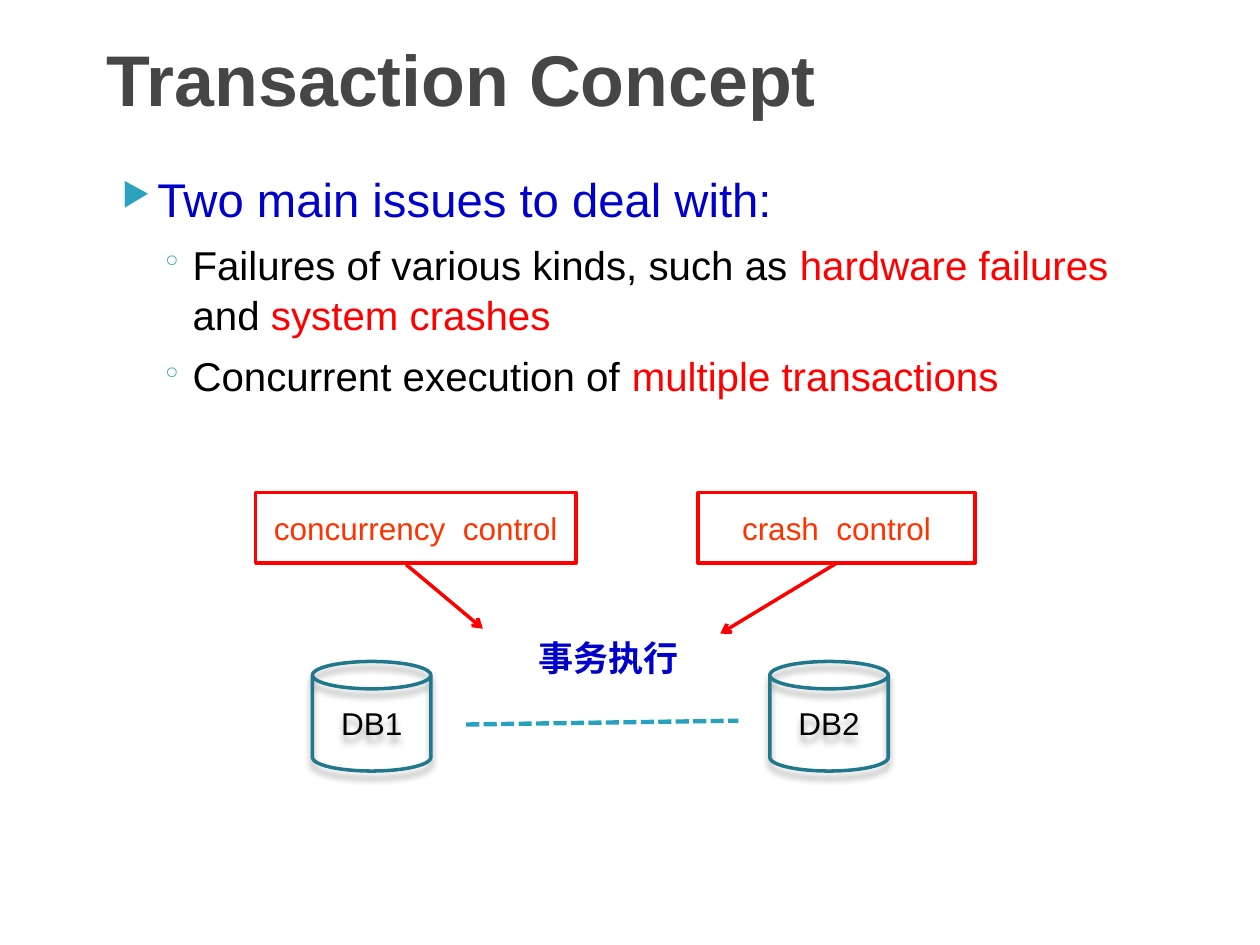
from lxml import etree
from pptx import Presentation
from pptx.dml.color import RGBColor
from pptx.enum.dml import MSO_LINE
from pptx.enum.shapes import MSO_CONNECTOR, MSO_SHAPE
from pptx.enum.text import MSO_ANCHOR, PP_ALIGN
from pptx.oxml.ns import qn
from pptx.util import Inches, Pt

CALLOUT = MSO_SHAPE.LINE_CALLOUT_1
CYLINDER = MSO_SHAPE.CAN
STRAIGHT = MSO_CONNECTOR.STRAIGHT
DOTTED = MSO_LINE.SQUARE_DOT
MIDDLE = MSO_ANCHOR.MIDDLE
CENTER = PP_ALIGN.CENTER

COLORS = {
    "title": "464646",
    "blue": "0000CC",
    "black": "000000",
    "red": "FF0000",
    "orange": "FF3300",
    "white": "FFFFFF",
    "bullet": "2DA2BF",
    "cylinder": "21788D",
    "link": "28A1BE",
}


def style(run, size, color, bold=False):
    run.font.name = "Arial"
    run.font.size = Pt(size)
    run.font.bold = bold
    run.font.color.rgb = RGBColor.from_string(COLORS[color])


def add_xml(parent, tag, **attributes):
    return etree.SubElement(parent, qn(tag), attributes)


prs = Presentation()
prs.slide_width = Inches(10)
prs.slide_height = Inches(7.5)
slide = prs.slides.add_slide(prs.slide_layouts[6])

title = slide.shapes.add_textbox(Inches(0.75), Inches(0.2), Inches(8.5), Inches(0.83))
title.text_frame.word_wrap = True
title.text_frame.vertical_anchor = MIDDLE
title.text_frame.text = "Transaction Concept"
style(title.text_frame.paragraphs[0].runs[0], 41, "title", bold=True)

issues = [
    (0, 27, "▶", 0.4, -0.28, [("Two main issues to deal with:", "blue")]),
    (1, 23, "◦", 0.68, -0.25, [
        ("Failures of various kinds, such as ", "black"),
        ("hardware failures", "red"),
        (" and ", "black"),
        ("system crashes", "red"),
    ]),
    (1, 23, "◦", 0.68, -0.25, [
        ("Concurrent execution of ", "black"),
        ("multiple transactions", "red"),
    ]),
]
body = slide.shapes.add_textbox(Inches(0.75), Inches(1.28), Inches(8.5), Inches(1.88))
body.text_frame.word_wrap = True
for index, (level, size, bullet, margin, indent, parts) in enumerate(issues):
    issue = body.text_frame.paragraphs[0] if index == 0 else body.text_frame.add_paragraph()
    issue.level = level
    properties = issue._p.get_or_add_pPr()
    properties.set("marL", str(Inches(margin)))
    properties.set("indent", str(Inches(indent)))
    add_xml(add_xml(properties, "a:buClr"), "a:srgbClr", val=COLORS["bullet"])
    add_xml(properties, "a:buSzPct", val="68000")
    add_xml(properties, "a:buChar", char=bullet)
    issue.line_spacing = 1.05
    if index:
        issue.space_before = Pt(6)
    for words, color in parts:
        run = issue.add_run()
        run.text = words
        style(run, size, color)

controls = slide.shapes.add_group_shape()
for label, left, width, pointer in [
    ("concurrency  control", 2.03, 2.54, (1.02, 0.47, 1.93, 0.71)),
    ("crash  control", 5.54, 2.2, (1, 0.5, 2, 0.08)),
]:
    control = controls.shapes.add_shape(
        CALLOUT, Inches(left), Inches(3.91), Inches(width), Inches(0.56))
    for position, value in enumerate(pointer):
        control.adjustments[position] = value
    control.shadow.inherit = False
    control.fill.solid()
    control.fill.fore_color.rgb = RGBColor.from_string(COLORS["white"])
    control.line.color.rgb = RGBColor.from_string(COLORS["red"])
    control.line.width = Pt(2)
    add_xml(control.line._get_or_add_ln(), "a:tailEnd", type="arrow")
    control.text_frame.vertical_anchor = MIDDLE
    control.text_frame.text = label
    control.text_frame.paragraphs[0].alignment = CENTER
    style(control.text_frame.paragraphs[0].runs[0], 18, "orange")

execution = slide.shapes.add_group_shape()
for label, left in [("DB1", 2.48), ("DB2", 6.11)]:
    database = execution.shapes.add_shape(
        CYLINDER, Inches(left), Inches(5.25), Inches(0.94), Inches(0.87))
    database.fill.background()
    database.line.color.rgb = RGBColor.from_string(COLORS["cylinder"])
    database.line.width = Pt(2)
    database.shadow.inherit = False
    effects = database._element.spPr.find(qn("a:effectLst"))
    shadow = add_xml(effects, "a:outerShdw", blurRad=str(Pt(4)), dist=str(Pt(4)),
                     dir="5400000", rotWithShape="0")
    add_xml(add_xml(shadow, "a:srgbClr", val=COLORS["black"]), "a:alpha", val="33000")
    database.text_frame.vertical_anchor = MIDDLE
    database.text_frame.text = label
    database.text_frame.paragraphs[0].alignment = CENTER
    style(database.text_frame.paragraphs[0].runs[0], 18, "black")

caption = execution.shapes.add_textbox(Inches(4.11), Inches(5), Inches(1.44), Inches(0.44))
caption.text_frame.word_wrap = True
caption.text_frame.text = "事务执行"
caption.text_frame.paragraphs[0].alignment = CENTER
style(caption.text_frame.paragraphs[0].runs[0], 20, "blue", bold=True)

link = execution.shapes.add_connector(
    STRAIGHT, Inches(3.7), Inches(5.75), Inches(5.86), Inches(5.72))
link.line.color.rgb = RGBColor.from_string(COLORS["link"])
link.line.width = Pt(2.5)
link.line.dash_style = DOTTED
add_xml(link._element.spPr, "a:effectLst")

prs.save("out.pptx")
